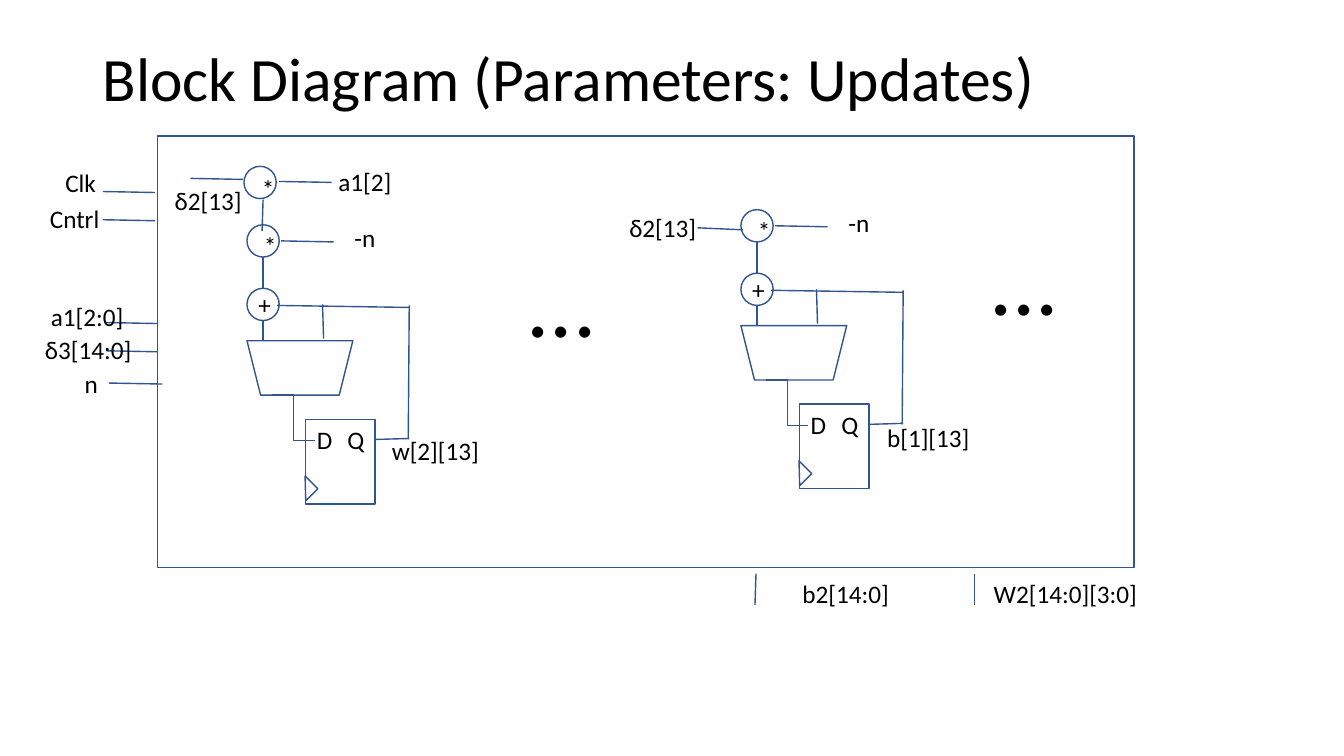
"""Build the block diagram slide of the parameter update circuit."""
from dataclasses import dataclass

from lxml import etree
from pptx import Presentation
from pptx import slide as sl
from pptx import util as u
from pptx.dml import color
from pptx.enum import shapes, text
from pptx.oxml import ns
from pptx.shapes import autoshape, connector

COLUMNS, ROWS = 133.33, 75
CELL = u.Inches(0.1)


@dataclass(frozen=True)
class Theme:
    font: str = "Calibri"
    ink: color.RGBColor = color.RGBColor(0, 0, 0)
    paper: color.RGBColor = color.RGBColor(0xFF, 0xFF, 0xFF)
    outline: color.RGBColor = color.RGBColor(0x32, 0x54, 0x91)
    stroke: u.Pt = u.Pt(1)
    title: u.Pt = u.Pt(44)
    label: u.Pt = u.Pt(18)
    dots: u.Pt = u.Pt(66)


@dataclass(frozen=True)
class Gate:
    kind: shapes.MSO_SHAPE
    column: float
    row: float
    width: float
    height: float
    rotation: float = 0


@dataclass(frozen=True)
class Wire:
    column: float
    row: float
    end_column: float
    end_row: float
    kind: shapes.MSO_CONNECTOR = shapes.MSO_CONNECTOR.STRAIGHT


@dataclass(frozen=True)
class Label:
    wording: str
    column: float
    row: float
    width: float
    height: float = 4
    size: u.Pt = Theme.label


@dataclass(frozen=True)
class Group:
    back_wires: tuple[Wire, ...] = ()
    gates: tuple[Gate, ...] = ()
    wires: tuple[Wire, ...] = ()
    labels: tuple[Label, ...] = ()


THEME = Theme()
KIND = shapes.MSO_SHAPE
NODE = 3.2
TITLE = Label("Block Diagram (Parameters: Updates)", 9.2, 4, 115, 8.2, THEME.title)
FRAME = Gate(KIND.RECTANGLE, 15.6, 13.5, 96.9, 42.8)
DELTA_BUS = Wire(10.5, 34.8, 15.6, 34.9)

UPDATE_CELL = Group(
    back_wires=(Wire(26.1, 25.3, 26.1, 34),),
    gates=(
        Gate(KIND.OVAL, 24.5, 22.3, NODE, NODE),
        Gate(KIND.OVAL, 24.5, 28.6, NODE, NODE),
        Gate(KIND.TRAPEZOID, 24.5, 33.8, 10.5, 5.4, 180),
        Gate(KIND.RECTANGLE, 30.3, 41.6, 6.9, 8.4),
        Gate(KIND.RIGHT_TRIANGLE, 29.4, 47.6, 1.8, 1.7, 225),
    ),
    wires=(
        Wire(27.9, 23.9, 33.1, 24),
        Wire(27, 39.2, 31.2, 43.7, shapes.MSO_CONNECTOR.ELBOW),
        Wire(37.2, 43.6, 40.6, 43.5),
        Wire(40.6, 30.3, 40.5, 43.6),
        Wire(27.5, 30.3, 40.6, 30.5),
        Wire(32, 30.2, 32.1, 33.6),
    ),
    labels=(
        Label("*", 25.2, 22.4, 2.3),
        Label("+", 24.6, 28.2, 3.3),
        Label("-n", 29.2, 21.6, 14),
        Label("D", 30.3, 41.6, 3.8),
        Label("Q", 33.4, 41.6, 3.8),
    ),
)
CELL_SHIFTS = ((0, 0), (49, -1.5))

WEIGHT_INPUT = Group(
    gates=(Gate(KIND.OVAL, 24.2, 16.5, NODE, NODE),),
    wires=(
        Wire(27.7, 18, 32.9, 18.1),
        Wire(26.1, 19.8, 26, 22.9),
        Wire(18.9, 17.7, 24.1, 17.8),
    ),
    labels=(
        Label("*", 25, 16.7, 2.3),
        Label("δ2[13]", 13.9, 17.9, 13.5),
        Label("a1[2]", 29.2, 16, 14),
        Label("w[2][13]", 36.2, 42.7, 14),
    ),
)
BIAS_INPUT = Group(
    wires=(Wire(69.2, 22.6, 73.7, 22.8),),
    labels=(
        Label("δ2[13]", 59, 20.6, 13.5),
        Label("b[1][13]", 85.1, 41.4, 14),
    ),
)
PORTS = Group(
    wires=(
        Wire(10.2, 19, 15.4, 19.1),
        Wire(10.2, 21.8, 15.4, 21.9),
        Wire(10.5, 32, 15.7, 32.1),
        Wire(10.8, 38, 16.1, 38.1),
        Wire(75, 56.9, 74.9, 60),
        Wire(96.7, 56.9, 96.7, 60),
    ),
    labels=(
        Label("Clk", 5.1, 16.1, 5.8),
        Label("Cntrl", 2.8, 19.7, 9.2),
        Label("a1[2:0]", 1.9, 29.4, 13.5),
        Label("δ3[14:0]", 1.9, 32.7, 13.7),
        Label("n", 2.2, 36, 13.7),
        Label("b2[14:0]", 72.9, 56.9, 22),
        Label("W2[14:0][3:0]", 94.7, 56.9, 22),
        Label("...", 40.7, 23.8, 30, 12.1, THEME.dots),
        Label("...", 86.6, 21.6, 30, 12.1, THEME.dots),
    ),
)


def grid(*cells: float) -> list[u.Emu]:
    """Turn grid cells into lengths."""
    return [u.Emu(round(cell * CELL)) for cell in cells]


def draw_gate(slide: sl.Slide, gate: Gate, dx: float = 0, dy: float = 0) -> autoshape.Shape:
    """Draw an outlined circuit element."""
    body = slide.shapes.add_shape(
        gate.kind, *grid(gate.column + dx, gate.row + dy, gate.width, gate.height))
    body.rotation = gate.rotation
    body.shadow.inherit = False
    body.fill.solid()
    body.fill.fore_color.rgb = THEME.paper
    body.line.color.rgb = THEME.outline
    body.line.width = THEME.stroke
    return body


def draw_wire(slide: sl.Slide, wire: Wire, dx: float = 0, dy: float = 0) -> connector.Connector:
    """Draw a wire without a shadow."""
    path_line = slide.shapes.add_connector(wire.kind, *grid(
        wire.column + dx, wire.row + dy, wire.end_column + dx, wire.end_row + dy))
    path_line.line.color.rgb = THEME.outline
    path_line.line.width = THEME.stroke
    etree.SubElement(path_line._element.spPr, ns.qn("a:effectLst"))
    return path_line


def draw_label(slide: sl.Slide, label: Label, dx: float = 0, dy: float = 0) -> text.MSO_ANCHOR:
    """Write a centred label and return its text frame."""
    frame = slide.shapes.add_textbox(
        *grid(label.column + dx, label.row + dy, label.width, label.height)).text_frame
    frame.word_wrap = True
    frame.auto_size = text.MSO_AUTO_SIZE.SHAPE_TO_FIT_TEXT
    paragraph = frame.paragraphs[0]
    paragraph.text = label.wording
    paragraph.alignment = text.PP_ALIGN.CENTER
    paragraph.font.name = THEME.font
    paragraph.font.size = label.size
    paragraph.font.color.rgb = THEME.ink
    return frame


def draw_title(slide: sl.Slide) -> None:
    """Write the left-aligned slide title."""
    heading = draw_label(slide, TITLE)
    heading.auto_size = text.MSO_AUTO_SIZE.NONE
    heading.vertical_anchor = text.MSO_ANCHOR.MIDDLE
    heading.paragraphs[0].alignment = text.PP_ALIGN.LEFT
    heading.paragraphs[0].line_spacing = 0.9


def draw_group(slide: sl.Slide, group: Group, dx: float = 0, dy: float = 0) -> None:
    """Draw a group from back to front at a shift."""
    for draw, parts in ((draw_wire, group.back_wires), (draw_gate, group.gates),
                        (draw_wire, group.wires), (draw_label, group.labels)):
        for part in parts:
            draw(slide, part, dx, dy)


def main() -> None:
    """Assemble and save the slide."""
    deck = Presentation()
    deck.slide_width, deck.slide_height = grid(COLUMNS, ROWS)
    slide = deck.slides.add_slide(deck.slide_layouts[6])
    draw_title(slide)
    circuit = draw_gate(slide, FRAME)
    draw_wire(slide, DELTA_BUS).end_connect(circuit, 1)
    for shift in CELL_SHIFTS:
        draw_group(slide, UPDATE_CELL, *shift)
    for group in (WEIGHT_INPUT, BIAS_INPUT, PORTS):
        draw_group(slide, group)
    deck.save("out.pptx")


if __name__ == "__main__":
    main()
